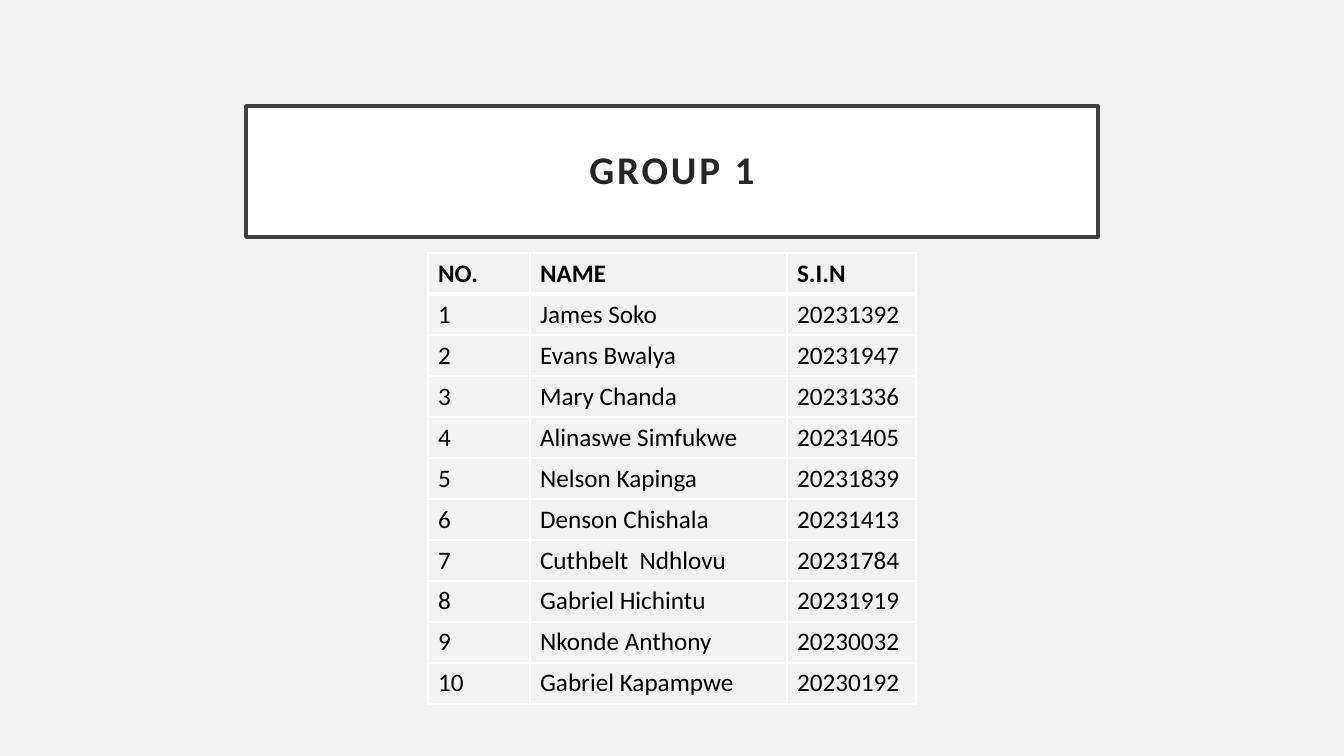
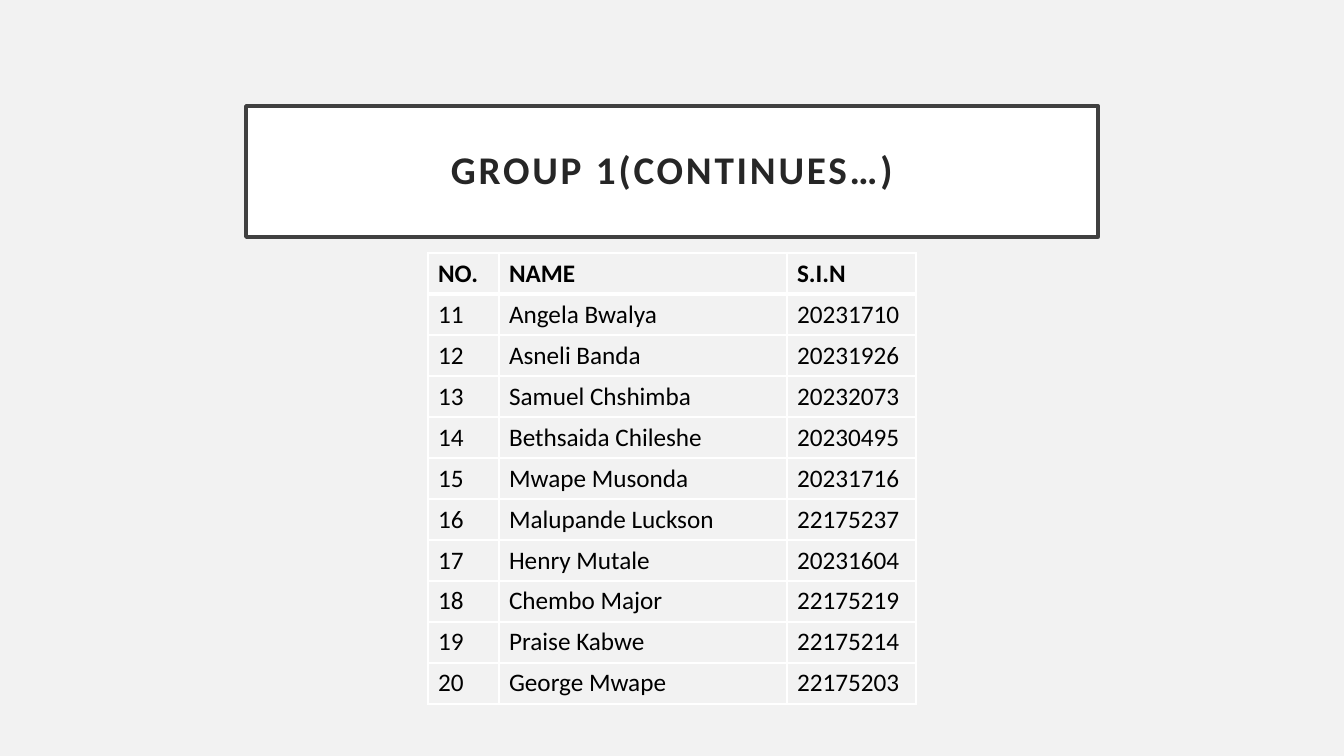
import pptx
import pptx.dml.color
import pptx.enum.text
import pptx.oxml
import pptx.oxml.ns
import pptx.util

PX = 12192000 / 1344
SLIDE_SIZE = (1344, 756)
TITLE_BOX = (246, 106, 852, 131)
TABLE_BOX = (428, 253, 488, 451)
TITLE_INSET = 20
FONT = "Calibri"

PAPER = pptx.dml.color.RGBColor(0xF2, 0xF2, 0xF2)
WHITE = pptx.dml.color.RGBColor(0xFF, 0xFF, 0xFF)
FRAME = pptx.dml.color.RGBColor(0x40, 0x40, 0x40)
TITLE_INK = pptx.dml.color.RGBColor(0x26, 0x26, 0x26)
BLACK = pptx.dml.color.RGBColor(0, 0, 0)

HEADER = ("NO.", "NAME", "S.I.N")
FIRST_MEMBERS = [
    ("James Soko", "20231392"),
    ("Evans Bwalya", "20231947"),
    ("Mary Chanda", "20231336"),
    ("Alinaswe Simfukwe", "20231405"),
    ("Nelson Kapinga", "20231839"),
    ("Denson Chishala", "20231413"),
    ("Cuthbelt  Ndhlovu", "20231784"),
    ("Gabriel Hichintu", "20231919"),
    ("Nkonde Anthony", "20230032"),
    ("Gabriel Kapampwe", "20230192"),
]
MORE_MEMBERS = [
    ("Angela Bwalya", "20231710"),
    ("Asneli Banda", "20231926"),
    ("Samuel Chshimba", "20232073"),
    ("Bethsaida Chileshe", "20230495"),
    ("Mwape Musonda", "20231716"),
    ("Malupande Luckson", "22175237"),
    ("Henry Mutale", "20231604"),
    ("Chembo Major", "22175219"),
    ("Praise Kabwe", "22175214"),
    ("George Mwape", "22175203"),
]


def px(n):
    return pptx.util.Emu(round(n * PX))


def style_font(font, size, color, bold):
    font.name = FONT
    font.size = pptx.util.Pt(size)
    font.color.rgb = color
    font.bold = bold


def add_title(s, text, box):
    title = s.shapes.title
    title.left, title.top, title.width, title.height = map(px, box)
    title.fill.solid()
    title.fill.fore_color.rgb = WHITE
    title.line.color.rgb = FRAME
    title.line.width = pptx.util.Pt(2.5)
    tf = title.text_frame
    tf.text = text
    tf.word_wrap = True
    tf.auto_size = pptx.enum.text.MSO_AUTO_SIZE.NONE
    tf.vertical_anchor = pptx.enum.text.MSO_ANCHOR.MIDDLE
    tf.margin_left = tf.margin_right = px(TITLE_INSET)
    tf.margin_top = tf.margin_bottom = px(TITLE_INSET)
    p = tf.paragraphs[0]
    p.alignment = pptx.enum.text.PP_ALIGN.CENTER
    p.line_spacing = 0.9
    style_font(p.font, 28, TITLE_INK, True)
    p._p.pPr.find(pptx.oxml.ns.qn("a:defRPr")).set("spc", "200")


def set_borders(cell, top, bottom):
    tc_pr = cell._tc.get_or_add_tcPr()
    for side, width in (("L", 1), ("R", 1), ("T", top), ("B", bottom)):
        tc_pr.append(pptx.oxml.parse_xml(
            f'<a:ln{side} {pptx.oxml.ns.nsdecls("a")} w="{pptx.util.Pt(width)}">'
            f'<a:solidFill><a:srgbClr val="{WHITE}"/></a:solidFill></a:ln{side}>'))


def add_member_table(s, members, first_no, number_width, box):
    rows = [HEADER] + [(str(no), *member) for no, member in enumerate(members, first_no)]
    left, top, width, height = box
    id_width = 129
    widths = (number_width, width - number_width - id_width, id_width)
    table = s.shapes.add_table(len(rows), len(widths), *map(px, box)).table
    table.horz_banding = False
    for column, column_width in zip(table.columns, widths):
        column.width = px(column_width)
    for i, values in enumerate(rows):
        table.rows[i].height = px(height / len(rows))
        for j, value in enumerate(values):
            cell = table.cell(i, j)
            set_borders(cell, 3 if i == 1 else 1, 3 if i == 0 else 1)
            cell.fill.background()
            cell.text = value
            style_font(cell.text_frame.paragraphs[0].font, 18, BLACK, i == 0)


def add_group_slide(prs, title, members, first_no, number_width):
    s = prs.slides.add_slide(prs.slide_layouts.get_by_name("Title Only"))
    add_title(s, title, TITLE_BOX)
    add_member_table(s, members, first_no, number_width, TABLE_BOX)


def main():
    prs = pptx.Presentation()
    prs.slide_width, prs.slide_height = map(px, SLIDE_SIZE)
    background = prs.slide_master.background.fill
    background.solid()
    background.fore_color.rgb = PAPER
    add_group_slide(prs, "GROUP 1", FIRST_MEMBERS, 1, 102)
    add_group_slide(prs, "GROUP 1(CONTINUES…)", MORE_MEMBERS, 11, 71)
    prs.save("out.pptx")


if __name__ == "__main__":
    main()
